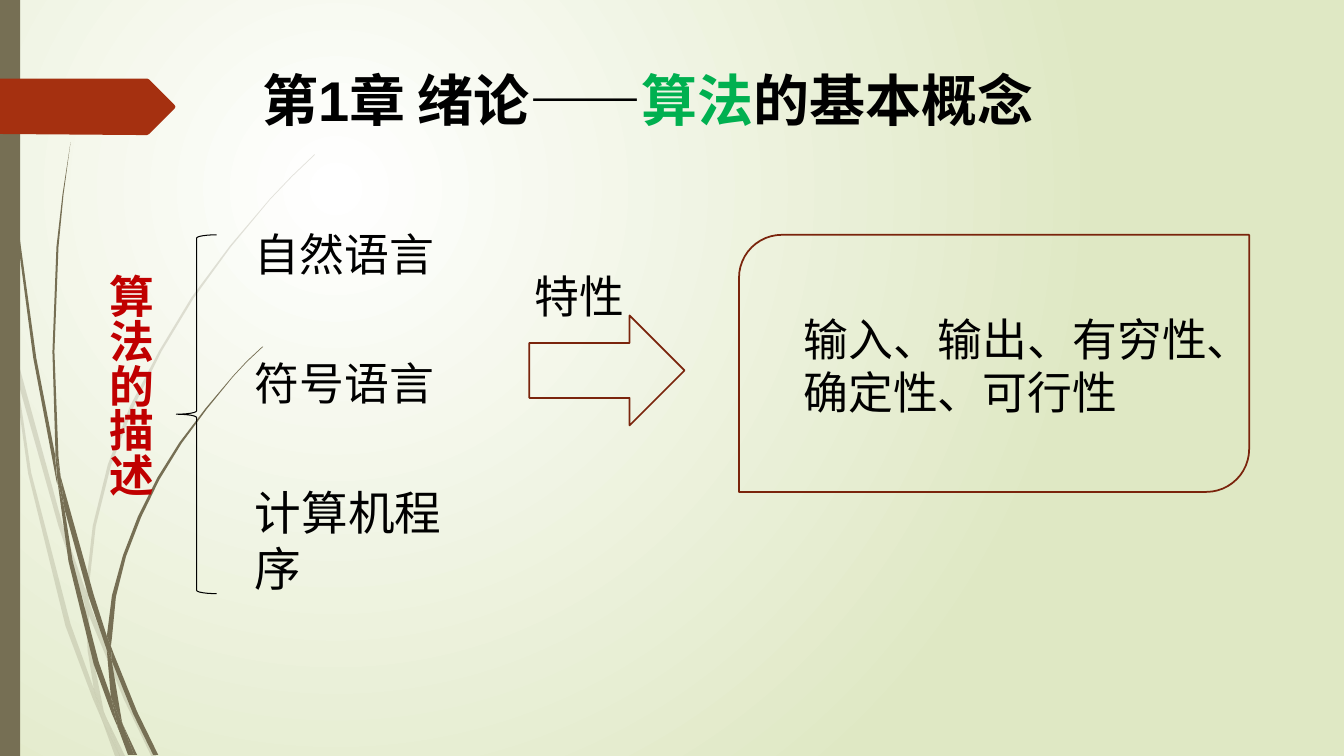
from dataclasses import dataclass

from lxml.etree import SubElement
from pptx import Presentation
from pptx.dml.color import RGBColor
from pptx.enum.shapes import MSO_SHAPE
from pptx.enum.text import MSO_ANCHOR, MSO_AUTO_SIZE, PP_ALIGN
from pptx.oxml.ns import qn
from pptx.util import Inches, Pt


@dataclass(frozen=True)
class Theme:
    font: str = "Arial"
    ink: str = "000000"
    green: str = "00B050"
    red: str = "C00000"
    outline: str = "7A240C"
    tab: str = "A53010"
    grass: str = "766F54"
    glow: str = "FFFFFF"
    meadow: str = "DFE8C4"
    title_size: float = 40
    body_size: float = 32
    program_size: float = 33.3


# Outlines of the grass blades, in inches
PALE_BLADES = [
    [(0.11, 3.5), (0.09, 3.22), (0, 2.82), (0, 2.99), (0.1, 3.44)],
    [(0.58, 5.22), (0.84, 5.99), (0.85, 5.86), (0.62, 5.2), (0.14, 3.45), (0.17, 3.76)],
    [(0.92, 6.07), (0.88, 5.96), (0.88, 6.1), (1.23, 6.94), (1.5, 7.5), (1.55, 7.5), (1.27, 6.92)],
    [(1.19, 7.5), (1.24, 7.5), (1.05, 7.11)],
    [(0.93, 6.83), (0.7, 6.19), (0.31, 4.69), (0.17, 3.76), (0.11, 3.5), (0.28, 4.7),
     (0.65, 6.21), (0.92, 6.93), (1.01, 7.14), (0.99, 7.07)],
    [(0.84, 5.99), (0.87, 6.46), (0.93, 6.83), (0.96, 6.92), (1.05, 7.11), (1.03, 7.06),
     (0.91, 6.46), (0.88, 6.1), (0.88, 6.08)],
    [(0.88, 5.84), (0.95, 5.22), (1.1, 4.62), (1.32, 4.05), (1.6, 3.49), (1.92, 2.96),
     (2.29, 2.45), (2.68, 1.98), (2.9, 1.75), (3.12, 1.54), (3.12, 1.53), (2.89, 1.75),
     (2.68, 1.97), (2.28, 2.44), (1.9, 2.95), (1.58, 3.48), (1.29, 4.03), (1.07, 4.61),
     (0.92, 5.22), (0.85, 5.84), (0.85, 5.86), (0.88, 5.96)],
    [(1.01, 7.14), (1.14, 7.5), (1.19, 7.5)],
    [(0.88, 6.08), (0.88, 6.1), (0.88, 5.96), (0.85, 5.86), (0.84, 5.99)],
    [(0.96, 6.92), (0.93, 6.83), (0.99, 7.07), (1.01, 7.14), (1.19, 7.5), (1.05, 7.11)],
]
DARK_BLADES = [
    [(0.07, 1.1), (0.17, 2.33), (0.33, 3.55), (0.56, 4.77), (0.57, 4.81), (0.55, 4.57),
     (0.55, 4.53), (0.36, 3.55), (0.19, 2.32), (0.08, 1.09), (0.05, 0.48), (0.04, 0),
     (0.03, 0), (0.04, 0.48)],
    [(0.88, 5.92), (1.06, 6.45), (1.06, 6.33), (1.06, 6.31), (0.93, 5.9), (0.6, 4.72), (0.64, 5.05)],
    [(1.13, 6.49), (1.1, 6.41), (1.11, 6.56), (1.32, 7.08), (1.52, 7.49), (1.57, 7.49), (1.36, 7.06)],
    [(1.1, 6.91), (0.98, 6.57), (0.72, 5.56), (0.64, 5.05), (0.57, 4.77), (0.68, 5.57),
     (0.93, 6.59), (1.11, 7.08), (1.17, 7.22), (1.16, 7.17)],
    [(0.6, 4.72), (0.58, 4.53), (0.54, 3.49), (0.58, 2.45), (0.63, 1.93), (0.7, 1.41),
     (0.62, 1.93), (0.56, 2.45), (0.52, 3.49), (0.55, 4.49)],
    [(1.33, 7.49), (1.36, 7.49), (1.22, 7.19)],
    [(0.57, 4.77), (0.64, 5.05), (0.6, 4.72), (0.55, 4.49), (0.55, 4.53)],
    [(1.11, 6.33), (1.15, 5.92), (1.25, 5.52), (1.4, 5.13), (1.58, 4.76), (1.8, 4.4),
     (2.05, 4.06), (2.31, 3.74), (2.45, 3.59), (2.61, 3.44), (2.6, 3.44), (2.45, 3.58),
     (2.31, 3.73), (2.04, 4.05), (1.78, 4.39), (1.56, 4.74), (1.37, 5.12), (1.22, 5.51),
     (1.11, 5.91), (1.06, 6.31), (1.1, 6.41)],
    [(1.17, 7.22), (1.27, 7.49), (1.31, 7.49)],
    [(1.06, 6.45), (1.1, 6.91), (1.16, 7.06), (1.22, 7.19), (1.21, 7.16), (1.11, 6.56), (1.09, 6.51)],
    [(1.06, 6.45), (1.09, 6.51), (1.11, 6.56), (1.1, 6.41), (1.06, 6.31), (1.06, 6.33)],
    [(1.16, 7.06), (1.1, 6.91), (1.16, 7.17), (1.17, 7.22), (1.3, 7.49), (1.33, 7.49), (1.22, 7.19)],
]
TITLE_TAB = [(1.73, 1.08), (1.48, 1.33), (1.46, 1.34), (1.36, 1.34), (0, 1.33), (0, 0.78),
             (1.46, 0.78), (1.48, 0.79), (1.73, 1.04), (1.74, 1.06)]


class SlideBuilder:
    def __init__(self, page, theme):
        self.page = page
        self.theme = theme

    def background(self):
        fill = self.page.background.fill
        fill.gradient()
        for stop, color in zip(fill.gradient_stops, (self.theme.glow, self.theme.meadow)):
            stop.color.rgb = RGBColor.from_string(color)
        for stop, position in zip(fill.gradient_stops, (0, 1)):
            stop.position = position
        linear = self.page.element.find(".//" + qn("a:lin"))
        gradient = linear.getparent()
        gradient.remove(linear)
        circle = SubElement(gradient, qn("a:path"), path="circle")
        SubElement(circle, qn("a:fillToRect"), l="50000", t="50000", r="100000", b="100000")

    def paint(self, shape, color, opacity=100):
        shape.shadow.inherit = False
        shape.fill.solid()
        shape.fill.fore_color.rgb = RGBColor.from_string(color)
        shape.line.fill.background()
        if opacity < 100:
            solid = shape.element.spPr.find(qn("a:solidFill"))
            SubElement(solid[0], qn("a:alpha"), val=str(opacity * 1000))

    def polygon(self, points, color, opacity=100):
        corners = [(Inches(x), Inches(y)) for x, y in points]
        builder = self.page.shapes.build_freeform(*corners[0])
        builder.add_line_segments(corners[1:], close=True)
        self.paint(builder.convert_to_shape(), color, opacity)

    def bar(self, left, top, width, height, color):
        shape = self.page.shapes.add_shape(
            MSO_SHAPE.RECTANGLE, Inches(left), Inches(top), Inches(width), Inches(height))
        self.paint(shape, color)

    def outline(self, kind, left, top, width, height, color, weight):
        shape = self.page.shapes.add_shape(
            kind, Inches(left), Inches(top), Inches(width), Inches(height))
        shape.shadow.inherit = False
        shape.fill.background()
        shape.line.color.rgb = RGBColor.from_string(color)
        shape.line.width = Pt(weight)

    def text(self, spans, left, top, width, height, size=None, bold=False):
        box = self.page.shapes.add_textbox(
            Inches(left), Inches(top), Inches(width), Inches(height))
        box.text_frame.word_wrap = True
        para = box.text_frame.paragraphs[0]
        para.font.name = self.theme.font
        para.font.size = Pt(size or self.theme.body_size)
        para.font.bold = bold
        for words, color in spans:
            span = para.add_run()
            span.text = words
            span.font.color.rgb = RGBColor.from_string(color)
        return box.text_frame


def main():
    deck = Presentation()
    deck.slide_width, deck.slide_height = Inches(13.33), Inches(7.5)
    theme = Theme()
    slide = SlideBuilder(deck.slides.add_slide(deck.slide_layouts[6]), theme)

    # Backdrop: gradient, grass, side bar and title tab
    slide.background()
    for blades, opacity in ((PALE_BLADES, 20), (DARK_BLADES, 100)):
        for blade in blades:
            slide.polygon(blade, theme.grass, opacity)
    slide.bar(0, 0, 0.2, 7.5, theme.grass)
    slide.polygon(TITLE_TAB, theme.tab)

    # Title
    title = slide.text(
        [("第1章 绪论——", theme.ink), ("算法", theme.green), ("的基本概念", theme.ink)],
        1.75, 0.56, 9.35, 0.93, theme.title_size, bold=True)
    title.vertical_anchor = MSO_ANCHOR.MIDDLE
    title.paragraphs[0].alignment = PP_ALIGN.CENTER
    title.paragraphs[0].line_spacing = 0.9

    # Ways to describe an algorithm
    heading = slide.text([("算法的描述", theme.red)], 0.87, 2.62, 0.74, 2.48, bold=True)
    heading.auto_size = MSO_AUTO_SIZE.SHAPE_TO_FIT_TEXT
    heading._txBody.bodyPr.set("vert", "eaVert")
    slide.outline(MSO_SHAPE.LEFT_BRACE, 1.75, 2.33, 0.4, 3.56, theme.ink, 0.75)
    languages = [("自然语言", theme.body_size), ("符号语言", theme.body_size),
                 ("计算机程序", theme.program_size)]
    for row, (language, size) in enumerate(languages):
        slide.text([(language, theme.ink)], 2.43, 2.2 + 1.275 * row, 2.49, 0.93, size)

    # Properties of an algorithm
    slide.text([("输入、输出、有穷性、确定性、可行性", theme.ink)], 7.87, 3.04, 4.53, 1.47)
    slide.outline(MSO_SHAPE.ROUND_2_DIAG_RECTANGLE, 7.33, 2.33, 5.06, 2.55, theme.outline, 1.25)
    slide.outline(MSO_SHAPE.RIGHT_ARROW, 5.25, 3.13, 1.54, 1.09, theme.outline, 1.25)
    slide.text([("特性", theme.ink)], 5.2, 2.62, 1.75, 0.93)

    deck.save("out.pptx")


if __name__ == "__main__":
    main()
